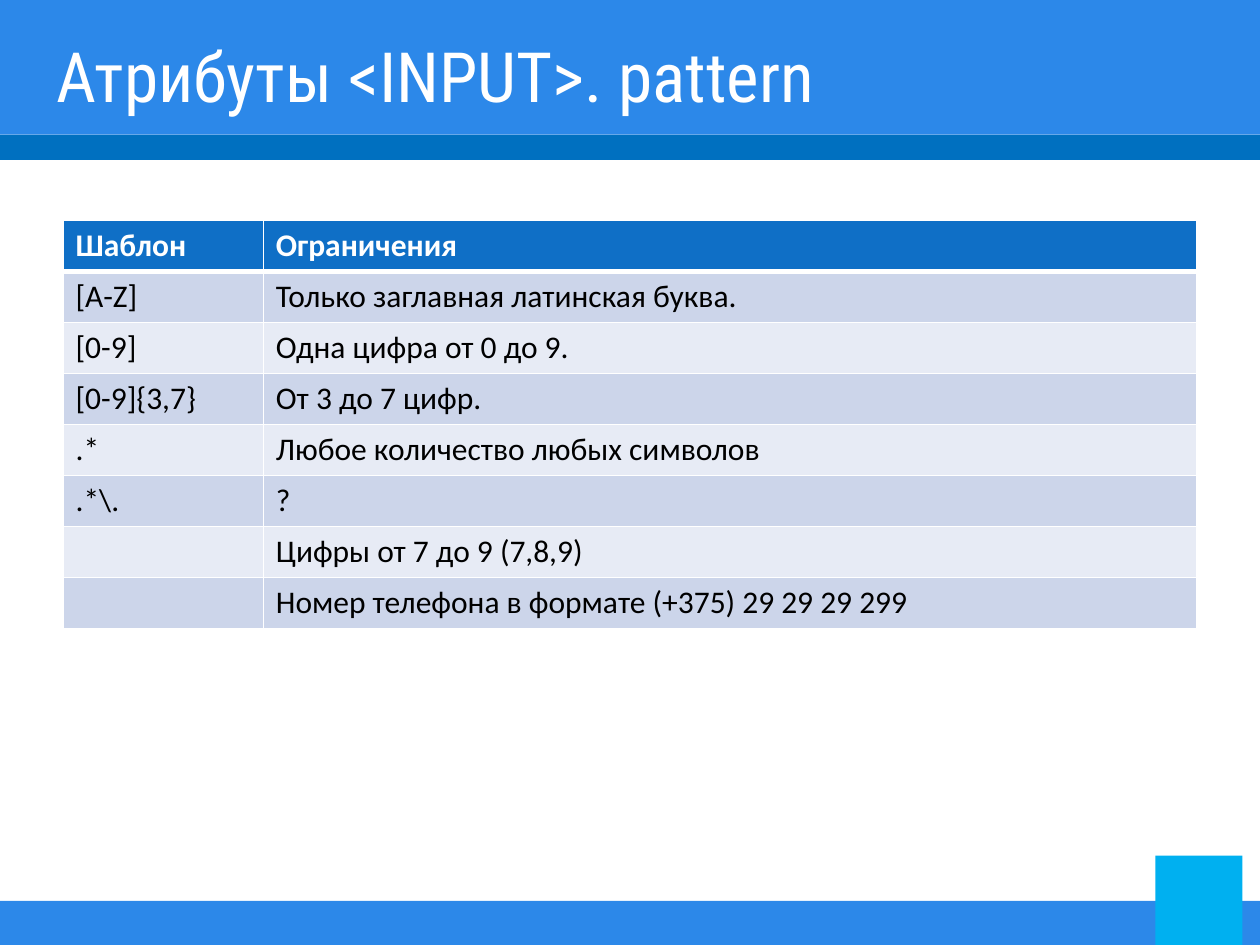
from lxml import etree
from pptx import Presentation
from pptx.dml.color import RGBColor
from pptx.enum.shapes import MSO_SHAPE
from pptx.enum.text import MSO_ANCHOR
from pptx.oxml.ns import qn
from pptx.util import Inches, Pt

RECT = MSO_SHAPE.RECTANGLE
MIDDLE = MSO_ANCHOR.MIDDLE


def paint(color_format, color):
    color_format.rgb = RGBColor.from_string(color)


def add_border(cell, side, color, width):
    ln = etree.SubElement(cell._tc.get_or_add_tcPr(), qn("a:ln" + side), w=str(Pt(width)))
    fill = etree.SubElement(ln, qn("a:solidFill"))
    etree.SubElement(fill, qn("a:srgbClr"), val=color)


prs = Presentation()
prs.slide_width, prs.slide_height = Inches(10), Inches(7.5)
s = prs.slides.add_slide(prs.slide_layouts[6])

# Header band, footer band and corner square
bands = [
    (0, 0, 10, 1.07, "2C88E9"),
    (0, 1.07, 10, 0.2, "0070C0"),
    (0, 7.15, 10, 0.35, "2C88E9"),
    (9.17, 6.79, 0.69, 0.71, "00B0F0"),
]
for x, y, w, h, color in bands:
    sp = s.shapes.add_shape(RECT, Inches(x), Inches(y), Inches(w), Inches(h))
    sp.shadow.inherit = False
    sp.fill.solid()
    paint(sp.fill.fore_color, color)
    sp.line.fill.background()

# Title
tf = s.shapes.add_textbox(Inches(0.35), Inches(0.29), Inches(9), Inches(0.61)).text_frame
tf.word_wrap = True
tf.vertical_anchor = MIDDLE
p = tf.paragraphs[0]
p.text = "Атрибуты <INPUT>. pattern"
p.font.name, p.font.size = "Roboto Condensed", Pt(39.6)
paint(p.font.color, "FFFFFF")

# Table of patterns and what they allow
rows = [
    ("Шаблон", "Ограничения"),
    ("[A-Z]", "Только заглавная латинская буква."),
    ("[0-9]", "Одна цифра от 0 до 9."),
    ("[0-9]{3,7}", "От 3 до 7 цифр."),
    (".*", "Любое количество любых символов"),
    (".*\\.", "?"),
    ("", "Цифры от 7 до 9 (7,8,9)"),
    ("", "Номер телефона в формате (+375) 29 29 29 299"),
]
table = s.shapes.add_table(len(rows), 2, Inches(0.5), Inches(1.75),
                           Inches(9), Inches(3.24)).table
for column, width in zip(table.columns, (1.59, 7.41)):
    column.width = Inches(width)

for i, row in enumerate(rows):
    header = i == 0
    fill = "0F6FC6" if header else ("E7EBF5", "CCD5EA")[i % 2]
    for j, text in enumerate(row):
        cell = table.cell(i, j)
        for side in "LRTB":
            thick = (header and side == "B") or (i == 1 and side == "T")
            add_border(cell, side, "FFFFFF", 3 if thick else 1)
        cell.fill.solid()
        paint(cell.fill.fore_color, fill)
        p = cell.text_frame.paragraphs[0]
        p.text = text
        p.font.name, p.font.size, p.font.bold = "Calibri", Pt(18), header
        paint(p.font.color, "FFFFFF" if header else "000000")

prs.save("out.pptx")
